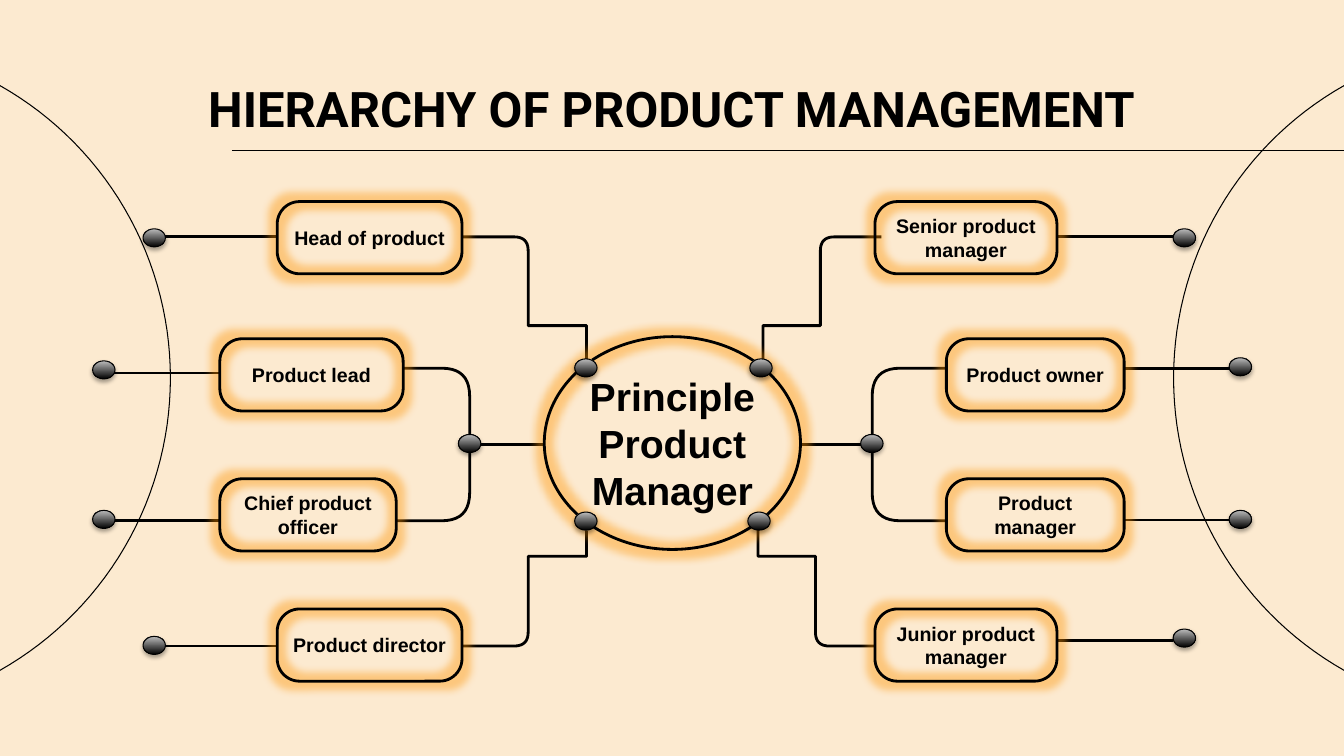
import lxml.etree
import math
import pptx
import pptx.dml.color
import pptx.enum.shapes
import pptx.enum.text
import pptx.oxml.ns
import pptx.util

Pt = pptx.util.Pt
SHAPES = pptx.enum.shapes.MSO_SHAPE
CREAM = pptx.dml.color.RGBColor(0xFC, 0xEA, 0xD0)
BLACK = pptx.dml.color.RGBColor(0x00, 0x00, 0x00)
GREY = pptx.dml.color.RGBColor(0xBD, 0xBD, 0xBD)
ORANGE = pptx.dml.color.RGBColor(0xFF, 0x93, 0x00)

WIDTH, HEIGHT = 960, 540
BOX_HEIGHT = 51.6
DOT_WIDTH, DOT_HEIGHT = 16, 12.9

# Role, left, top, width
ROLES = [
    ("Head of product", 198, 144, 132),
    ("Product lead", 157, 242, 131),
    ("Chief product officer", 157, 342, 126),
    ("Product director", 198, 435, 132),
    ("Senior product manager", 625, 144, 130),
    ("Product owner", 676, 242, 127),
    ("Product manager", 676, 342, 127),
    ("Junior product manager", 625, 435, 130),
]
# Start x, end x, y
STRAIGHT_LINES = [
    (102, 198, 169.2), (79, 157, 266.4), (79, 157, 372), (116, 198, 461.5),
    (755, 838, 169.2), (803, 879, 263), (803, 879, 371.5), (755, 838, 457.5),
    (337.5, 388.8, 317.5), (571.7, 623, 317.5),
]
# Box edge x, bend x, dot x, box y, step y, dot y
ELBOWS = [
    (330, 377.3, 419, 169.2, 232.6, 263),
    (330, 377.3, 419, 461.5, 397.4, 379),
    (629.5, 586, 545, 169.2, 232.6, 263),
    (625, 582.5, 541.5, 461.5, 397.4, 372),
]
# Lower box edge x, upper box edge x, bend x
BRACKETS = [(283, 288, 335.5), (677, 677, 623)]
# Centre x, centre y
DOTS = [
    (110.2, 169.9), (74.2, 264.2), (74.2, 371), (110.2, 461),
    (846, 169.9), (886, 262), (886, 371), (846, 455.8),
    (335.5, 316.8), (622.8, 316.8),
    (418.5, 262.8), (418.5, 372.2), (543.6, 262.8), (542.2, 372.2),
]


def add_effect(shape, name, color, alpha, **attributes):
    """Replace the effects of a shape by one coloured effect."""
    shape.shadow.inherit = False
    effects = shape._element.spPr.find(pptx.oxml.ns.qn("a:effectLst"))
    effect = lxml.etree.SubElement(effects, pptx.oxml.ns.qn(name))
    for key, value in attributes.items():
        effect.set(key, str(value))
    tint = lxml.etree.SubElement(effect, pptx.oxml.ns.qn("a:srgbClr"), val=str(color))
    lxml.etree.SubElement(tint, pptx.oxml.ns.qn("a:alpha"), val=str(alpha * 1000))


def set_line(shape, width):
    shape.line.color.rgb = BLACK
    shape.line.width = Pt(width)


def write(shape, text, size, font, inset):
    frame = shape.text_frame
    frame.word_wrap = True
    frame.auto_size = pptx.enum.text.MSO_AUTO_SIZE.NONE
    frame.vertical_anchor = pptx.enum.text.MSO_ANCHOR.MIDDLE
    frame.margin_left = frame.margin_right = Pt(inset)
    frame.margin_top = frame.margin_bottom = Pt(inset)
    paragraph = frame.paragraphs[0]
    paragraph.alignment = pptx.enum.text.PP_ALIGN.CENTER
    run = paragraph.add_run()
    run.text = text
    run.font.size = Pt(size)
    run.font.name = font
    run.font.bold = True
    run.font.color.rgb = BLACK


def add_straight(slide, start, end, y, width):
    connector = slide.shapes.add_connector(
        pptx.enum.shapes.MSO_CONNECTOR.STRAIGHT, Pt(start), Pt(y), Pt(end), Pt(y))
    set_line(connector, width)
    lxml.etree.SubElement(connector._element.spPr, pptx.oxml.ns.qn("a:effectLst"))


def add_curve(slide, points, width):
    """Draw an open, unfilled outline through the points."""
    points = [(Pt(x), Pt(y)) for x, y in points]
    builder = slide.shapes.build_freeform(*points[0])
    builder.add_line_segments(points[1:], close=False)
    shape = builder.convert_to_shape()
    shape.shadow.inherit = False
    shape.fill.background()
    set_line(shape, width)


def round_corner(before, corner, after, radius, steps=10):
    """Points of a quadratic curve that rounds off a corner."""
    def toward(target):
        share = radius / math.dist(corner, target)
        return [c + (t - c) * share for c, t in zip(corner, target)]

    start, end = toward(before), toward(after)
    curve = []
    for step in range(steps + 1):
        t = step / steps
        curve.append(tuple((1 - t) ** 2 * s + 2 * t * (1 - t) * c + t ** 2 * e
                           for s, c, e in zip(start, corner, end)))
    return curve


def add_elbow(slide, edge_x, bend_x, dot_x, box_y, step_y, dot_y):
    start, corner, step = (edge_x, box_y), (bend_x, box_y), (bend_x, step_y)
    add_curve(slide, [start, *round_corner(start, corner, step, 10), step,
                      (dot_x, step_y), (dot_x, dot_y)], 2)


def add_bracket(slide, lower_x, upper_x, bend_x, lower_y=372, upper_y=263):
    start, end = (lower_x, lower_y), (upper_x, upper_y)
    lower, upper = (bend_x, lower_y), (bend_x, upper_y)
    add_curve(slide, [start, *round_corner(start, lower, upper, 20),
                      *round_corner(lower, upper, end, 20), end], 2)


def add_side_arc(slide, center_x, direction):
    radius, half_angle, steps = 240, math.asin(209 / 240), 60
    angles = [half_angle * (2 * step / steps - 1) for step in range(steps + 1)]
    add_curve(slide, [(center_x + direction * radius * math.cos(angle),
                       270 + radius * math.sin(angle)) for angle in angles], 0.75)


def add_glowing(slide, kind, text, left, top, width, height, size, inset, glow):
    shape = slide.shapes.add_shape(kind, Pt(left), Pt(top), Pt(width), Pt(height))
    shape.fill.background()
    set_line(shape, 2)
    add_effect(shape, "a:glow", ORANGE, 40, rad=Pt(glow))
    write(shape, text, size, "Arial", inset)
    return shape


def add_dot(slide, x, y):
    dot = slide.shapes.add_shape(
        SHAPES.OVAL, Pt(x - DOT_WIDTH / 2), Pt(y - DOT_HEIGHT / 2),
        Pt(DOT_WIDTH), Pt(DOT_HEIGHT))
    dot.fill.gradient()
    dot.fill.gradient_angle = 90
    for stop, color, position in zip(dot.fill.gradient_stops, (BLACK, GREY), (0, 1)):
        stop.color.rgb = color
        stop.position = position
    set_line(dot, 0.75)
    add_effect(dot, "a:outerShdw", BLACK, 35, blurRad=Pt(3.1), dist=Pt(1.8),
               dir=90 * 60000, rotWithShape=0)


def main():
    presentation = pptx.Presentation()
    presentation.slide_width, presentation.slide_height = Pt(WIDTH), Pt(HEIGHT)
    slide = presentation.slides.add_slide(presentation.slide_layouts[5])
    slide.background.fill.solid()
    slide.background.fill.fore_color.rgb = CREAM

    # Side arcs, title and its rule
    add_straight(slide, 165.6, WIDTH, 107.3, 0.75)
    add_side_arc(slide, -118.3, 1)
    add_side_arc(slide, WIDTH + 118.3, -1)
    title = slide.shapes.title
    title.left, title.top = Pt(75.6), Pt(46.8)
    title.width, title.height = Pt(808.6), Pt(60.5)
    write(title, "HIERARCHY OF PRODUCT MANAGEMENT", 35, "Roboto", 7.2)

    # Connecting lines
    for start, end, y in STRAIGHT_LINES:
        add_straight(slide, start, end, y, 2)
    for elbow in ELBOWS:
        add_elbow(slide, *elbow)
    for bracket in BRACKETS:
        add_bracket(slide, *bracket)

    # Roles around the central manager
    for role, left, top, width in ROLES:
        box = add_glowing(slide, SHAPES.ROUNDED_RECTANGLE, role, left, top,
                          width, BOX_HEIGHT, 14, 2.5, 11)
        box.adjustments[0] = 0.31
    add_glowing(slide, SHAPES.OVAL, "Principle Product Manager",
                388.8, 240.5, 183, 152, 28, 0, 11)

    # Joints and line ends
    for x, y in DOTS:
        add_dot(slide, x, y)

    presentation.save("out.pptx")


if __name__ == "__main__":
    main()
